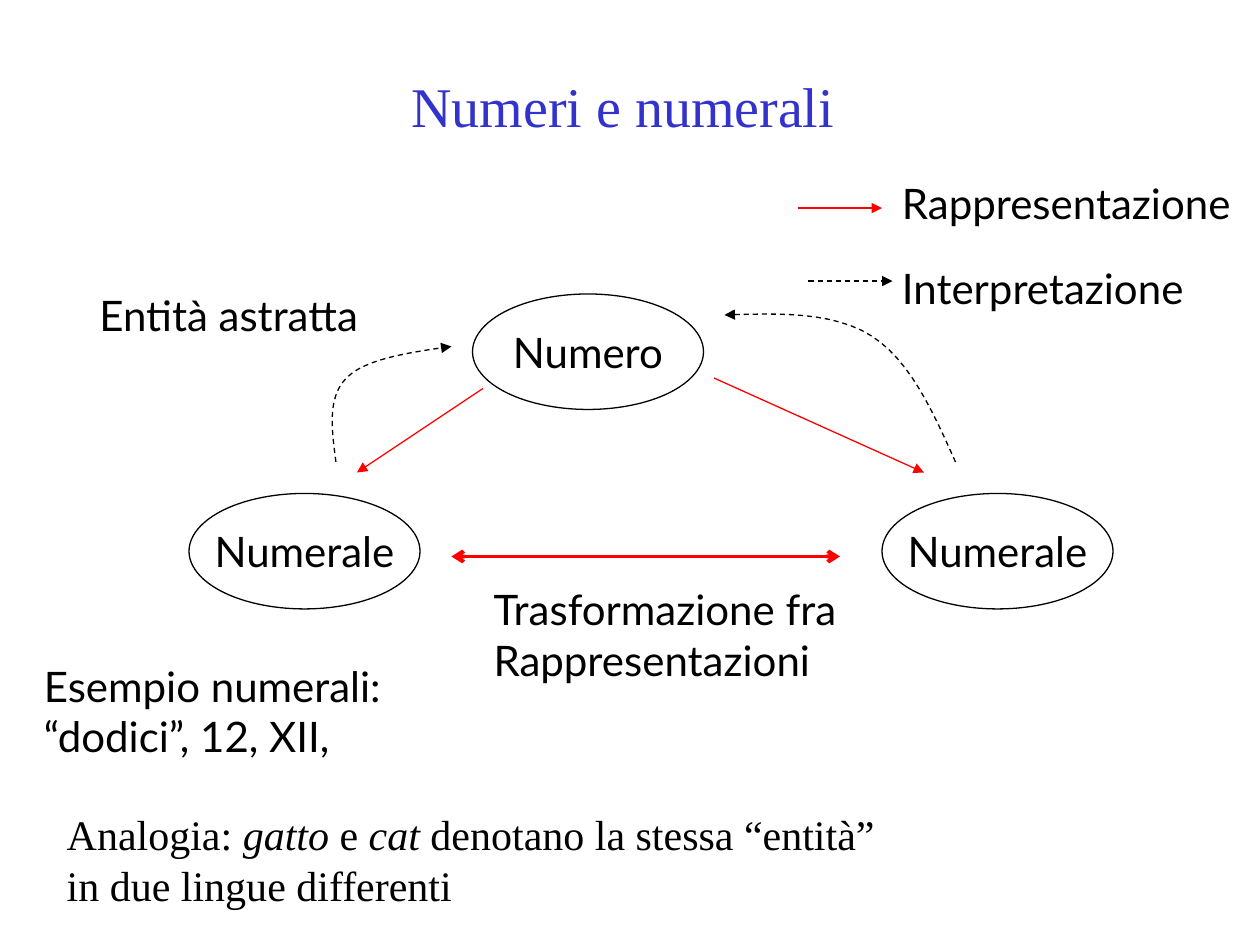
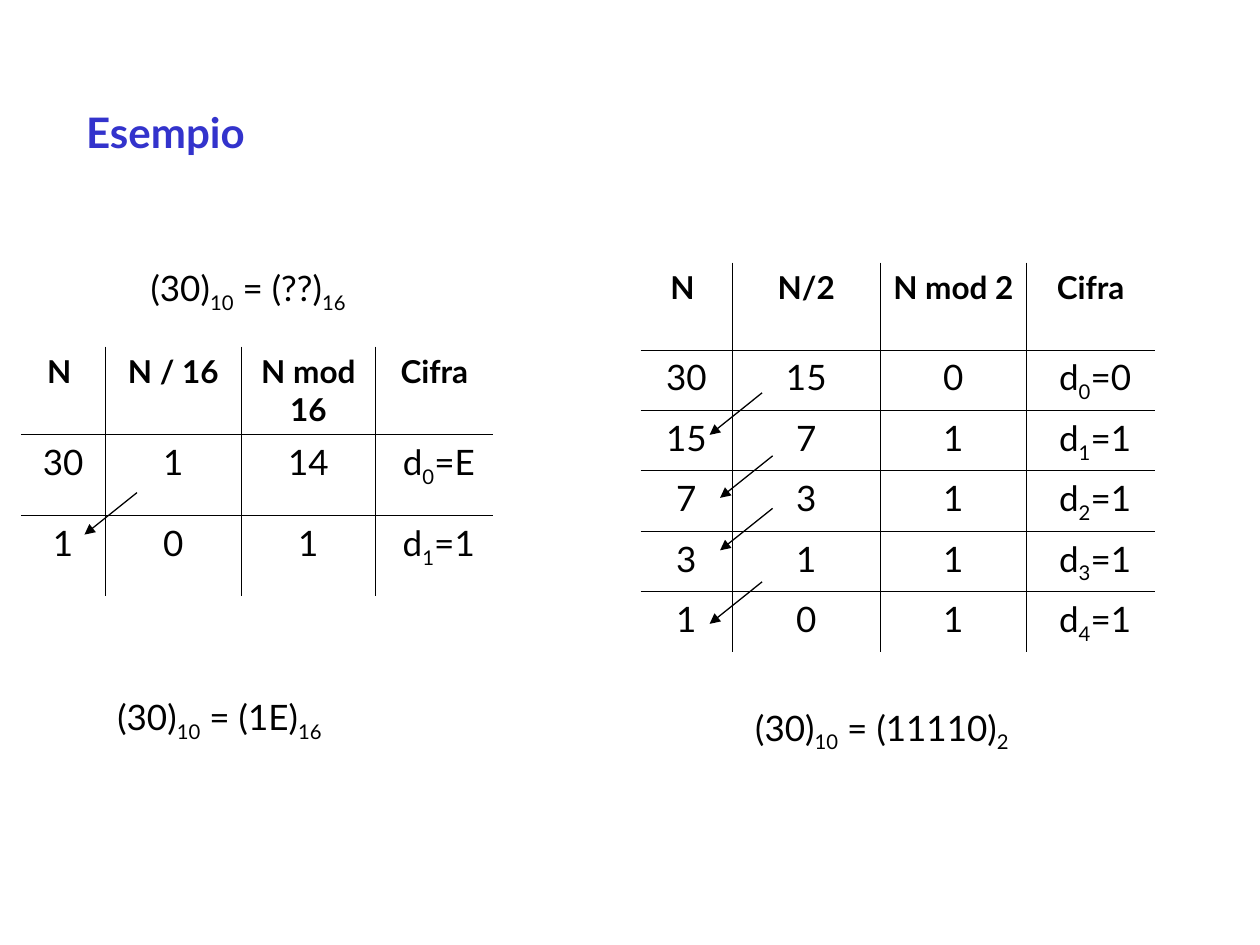
import dataclasses
import pptx
import pptx.dml.color
import pptx.enum.dml
import pptx.enum.shapes
import pptx.enum.text
import pptx.oxml
import pptx.oxml.ns
import pptx.util

Pt = pptx.util.Pt
Align = pptx.enum.text.PP_ALIGN
Anchor = pptx.enum.text.MSO_ANCHOR


def color(code):
    return pptx.dml.color.RGBColor.from_string(code)


@dataclasses.dataclass(frozen=True)
class Theme:
    ink: object = color("000000")
    blue: object = color("3333CC")
    red: object = color("FF0000")
    sans: str = "Lato"
    serif: str = "Times New Roman"
    head: int = 32
    body: int = 24
    cell: int = 20
    label: int = 18
    thin: float = 0.75
    thick: float = 2.25
    rule: float = 0.45


LOOK = Theme()


def write(para, text, size=LOOK.body, font=LOOK.sans, tint=LOOK.ink,
          bold=False, mark="sub"):
    """Add runs split at "|"; every second one is a subscript or italic."""
    for i, part in enumerate(text.split("|")):
        run = para.add_run()
        run.text = part
        run.font.size = Pt(size)
        run.font.name = font
        run.font.color.rgb = tint
        run.font.bold = bold
        if i % 2 and mark == "sub":
            run.font._element.set("baseline", "-25000")
        elif i % 2:
            run.font.italic = True


def note(slide, box, lines, gap=0, **style):
    """Place an unwrapped text box with one paragraph per line."""
    frame = slide.shapes.add_textbox(*map(Pt, box)).text_frame
    frame.word_wrap = False
    frame.auto_size = pptx.enum.text.MSO_AUTO_SIZE.SHAPE_TO_FIT_TEXT
    for i, line in enumerate(lines):
        para = frame.add_paragraph() if i else frame.paragraphs[0]
        if i and gap:
            para.space_before = Pt(gap)
        write(para, line, **style)


def title(slide, box, text, align, **style):
    shape = slide.shapes.title
    shape.left, shape.top, shape.width, shape.height = map(Pt, box)
    frame = shape.text_frame
    frame.word_wrap = True
    frame.vertical_anchor = Anchor.MIDDLE
    frame.paragraphs[0].alignment = align
    write(frame.paragraphs[0], text, tint=LOOK.blue, **style)


def stroke(line, tint, width=LOOK.thin, dash=False, **tips):
    """Format a line; tips maps headEnd and tailEnd to arrow types."""
    line.color.rgb = tint
    line.width = Pt(width)
    if dash:
        line.dash_style = pptx.enum.dml.MSO_LINE.DASH
    ln = line._get_or_add_ln()
    for end, kind in tips.items():
        tag = pptx.oxml.ns.qn("a:" + end)
        ln.append(ln.makeelement(tag, {"type": kind}))


def arrow(slide, x1, y1, x2, y2, tint=LOOK.ink, tip="triangle", both=False,
          **style):
    link = slide.shapes.add_connector(
        pptx.enum.shapes.MSO_CONNECTOR.STRAIGHT, *map(Pt, (x1, y1, x2, y2)))
    tips = {"headEnd": tip} if both else {}
    stroke(link.line, tint, **style, **tips, tailEnd=tip)
    props = link._element.spPr
    props.append(props.makeelement(pptx.oxml.ns.qn("a:effectLst"), {}))


def curve(slide, x, y, knots, steps=12):
    """Draw a dashed arrow along chained cubic curves."""
    dots = []
    for k in range(0, len(knots) - 1, 3):
        for i in range(1, steps + 1):
            t = i / steps
            s = 1 - t
            mix = (s ** 3, 3 * s * s * t, 3 * s * t * t, t ** 3)
            dots.append(tuple(
                Pt(base + sum(m * p[axis] for m, p in zip(mix, knots[k:k + 4])))
                for axis, base in enumerate((x, y))))
    pen = slide.shapes.build_freeform(Pt(x + knots[0][0]), Pt(y + knots[0][1]))
    pen.add_line_segments(dots, close=False)
    shape = pen.convert_to_shape()
    shape.shadow.inherit = False
    shape.fill.background()
    stroke(shape.line, LOOK.ink, dash=True, tailEnd="triangle")


def node(slide, x, y, text):
    oval = slide.shapes.add_shape(
        pptx.enum.shapes.MSO_SHAPE.OVAL, *map(Pt, (x, y, 132, 66)))
    oval.shadow.inherit = False
    oval.fill.background()
    stroke(oval.line, LOOK.ink)
    frame = oval.text_frame
    frame.word_wrap = False
    frame.vertical_anchor = Anchor.MIDDLE
    frame.paragraphs[0].alignment = Align.CENTER
    write(frame.paragraphs[0], text)


def triad(slide, x, y):
    """Draw the number, its two numerals and the arrows between them."""
    for dx, dy, text in ((162, 0, "Numero"), (0, 114, "Numerale"),
                         (396, 114, "Numerale")):
        node(slide, x + dx, y + dy, text)
    arrow(slide, x + 168, y + 54, x + 96, y + 102, LOOK.red)
    arrow(slide, x + 300, y + 48, x + 420, y + 102, LOOK.red)
    curve(slide, x, y, [(438, 96), (425, 67), (412, 38), (390, 24),
                        (368, 10), (337, 11), (306, 12)])
    curve(slide, x, y, [(84, 96), (81.5, 77.5), (79, 59), (90, 48),
                        (101, 37), (125.5, 33.5), (150, 30)])
    arrow(slide, x + 150, y + 150, x + 372, y + 150, LOOK.red,
          tip="arrow", both=True, width=LOOK.thick)


def key(slide, x, y):
    """Explain the two kinds of arrow."""
    note(slide, (x + 52.3, y, 218, 84),
         ["Rappresentazione", "Interpretazione"], gap=19.5)
    arrow(slide, x, y + 21, x + 48, y + 21, LOOK.red)
    arrow(slide, x + 6, y + 62.7, x + 54, y + 62.7, dash=True)


def edge(cell, sides):
    """Rule the given sides of a cell and clear the others."""
    props = cell._tc.get_or_add_tcPr()
    names = pptx.oxml.ns.nsdecls("a")
    solid = f'<a:solidFill><a:srgbClr val="{LOOK.ink}"/></a:solidFill>'
    for i, side in enumerate("LRTB"):
        fill = solid if side in sides else "<a:noFill/>"
        props.insert(i, pptx.oxml.parse_xml(
            f'<a:ln{side} {names} w="{int(Pt(LOOK.rule))}">{fill}</a:ln{side}>'))


def grid(slide, x, y, cols, rows, data, starts):
    """Place a division table, with an arrow from each quotient to next N."""
    table = slide.shapes.add_table(
        len(rows), len(cols), *map(Pt, (x, y, sum(cols), sum(rows)))).table
    table.first_row = table.horz_banding = False
    for col, width in zip(table.columns, cols):
        col.width = Pt(width)
    for row, height in zip(table.rows, rows):
        row.height = Pt(height)
    for r, line in enumerate(data):
        for c, text in enumerate(line):
            cell = table.cell(r, c)
            cell.fill.background()
            edge(cell, ("L" if c else "") + ("T" if r else "")
                 + ("R" if c < len(cols) - 1 else "")
                 + ("B" if r < len(rows) - 1 else ""))
            para = cell.text_frame.paragraphs[0]
            para.alignment = Align.CENTER
            para.space_before = Pt(5 if r else 4.5)
            write(para, text, size=LOOK.cell if r else LOOK.label, bold=not r)
    for dx, dy in starts:
        arrow(slide, x + dx, y + dy, x + dx - 30, y + dy + 24)


def steps(number, base):
    """List the rows of repeated division, with the digits numbered."""
    rows = []
    while number:
        rest = number % base
        rows.append((str(number), str(number // base), str(rest),
                     f" d|{len(rows)}|={rest:X}"))
        number //= base
    return rows


def numbers(slide):
    title(slide, (54, 30, 612, 60), "Numeri e numerali ", Align.CENTER,
          size=LOOK.head, font=LOOK.serif)
    triad(slide, 108, 168)
    key(slide, 456, 97.9)
    note(slide, (275, 330, 235.5, 65),
         ["Trasformazione fra", "Rappresentazioni"])
    note(slide, (18, 373.7, 231, 65),
         ["Esempio numerali:", "“dodici”, 12, XII,"])
    note(slide, (49.7, 162, 173.5, 36), ["Entità astratta"])
    note(slide, (31, 458.6, 481.7, 65),
         ["Analogia: |gatto| e |cat| denotano la stessa “entità”",
          "in due lingue differenti"], font=LOOK.serif, mark="italic")


def example(slide):
    title(slide, (42, 30, 612, 90), "Esempio", Align.LEFT, bold=True)
    grid(slide, 12, 198, (48.2, 77.8, 76.5, 67.5), (50, 46.2, 46.2),
         [("N ", "N / 16", "N mod 16", "Cifra")] + steps(30, 16),
         [(66.3, 83.5)])
    grid(slide, 366, 150, (52.4, 84.7, 83.4, 73.5), [50] + [34.5] * 5,
         [("N ", "N/2", "N mod 2", "Cifra")] + steps(30, 2),
         [(69.5, 74.5), (75.5, 110.5), (75.5, 140.5), (69.5, 182.5)])
    for x, y, width, text in (
            (79, 149, 127.4, "(30)|10| = (??)|16"),
            (60, 394, 132.5, "(30)|10| = (1E)|16"),
            (424.5, 400, 160.5, "(30)|10| = (11110)|2")):
        note(slide, (x, y, width, 34.5), [text], size=LOOK.cell)


def main():
    deck = pptx.Presentation()
    deck.slide_width, deck.slide_height = Pt(720), Pt(540)
    for build in (numbers, example):
        build(deck.slides.add_slide(deck.slide_layouts[5]))
    deck.save("out.pptx")


if __name__ == "__main__":
    main()
